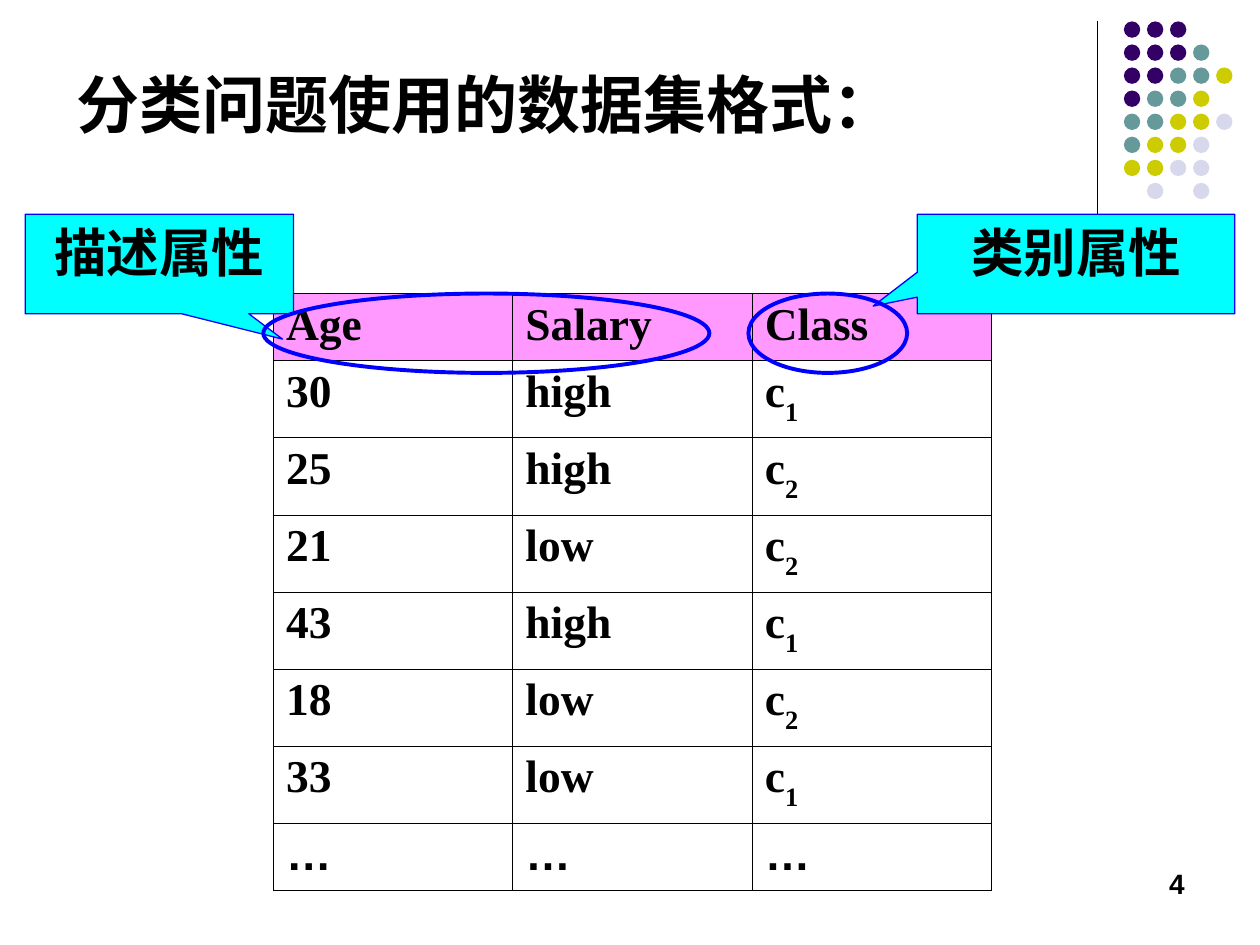
"""Build the slide that shows the data set format for classification."""
from lxml import etree
from pptx import Presentation
from pptx import util as u
from pptx.dml.color import RGBColor
from pptx.enum import shapes, text
from pptx.oxml.ns import qn

COLORS = {"ink": "000000", "outline": "0000FF", "callout": "00FFFF", "header": "FF99FF",
          "P": "330066", "T": "669999", "Y": "CCCC00", "L": "D8D8EC"}
TITLE = "分类问题使用的数据集格式："
PAGE_NUMBER = "4"
RECORDS = [("Age", "Salary", "Class"),
           ("30", "high", "c1"), ("25", "high", "c2"), ("21", "low", "c2"),
           ("43", "high", "c1"), ("18", "low", "c2"), ("33", "low", "c1"),
           ("…", "…", "…")]
CALLOUTS = [("描述属性", (0.2, 1.7, 2.13, 0.79), (0.459, 0.755)),
            ("类别属性", (7.28, 1.7, 2.52, 0.79), (-0.639, 0.423))]
RINGS = [(2.09, 2.33, 3.54, 0.63), (5.94, 2.33, 1.26, 0.63)]
DOTS = ["PPP", "PPPT", "PPTTY", "PTTY", "TTYYL", "TYYL", "YYLL", " L L"]
DOT_LEFT, DOT_TOP, DOT_PITCH, DOT_SIZE = 8.92, 0.17, 0.183, 0.13
COLUMN_WIDTH, EDGE_ROW, BODY_ROW = 1.9, 0.5, 0.58


def rgb(name):
    return RGBColor.from_string(COLORS[name])


def inches(values):
    return [u.Inches(value) for value in values]


def style(run, size, face="Arial"):
    run.font.size, run.font.name, run.font.bold = u.Pt(size), face, True
    run.font.color.rgb = rgb("ink")


def add_figure(slide, preset, box, fill=None, line_width=None):
    figure = slide.shapes.add_shape(preset, *inches(box))
    figure.shadow.inherit = False
    if fill:
        figure.fill.solid()
        figure.fill.fore_color.rgb = rgb(fill)
    else:
        figure.fill.background()
    if line_width:
        figure.line.color.rgb = rgb("outline")
        figure.line.width = u.Pt(line_width)
    else:
        figure.line.fill.background()
    return figure


def write(figure, words, size, align):
    frame = figure.text_frame
    frame.word_wrap = True
    frame.vertical_anchor = text.MSO_ANCHOR.TOP
    frame.text = words
    frame.paragraphs[0].alignment = align
    style(frame.paragraphs[0].runs[0], size)


def add_borders(cell):
    properties = cell._tc.get_or_add_tcPr()
    for position, side in enumerate(("a:lnL", "a:lnR", "a:lnT", "a:lnB")):
        border = etree.Element(qn(side), w=str(u.Pt(0.45)))
        paint = etree.SubElement(border, qn("a:solidFill"))
        etree.SubElement(paint, qn("a:srgbClr"), val=COLORS["ink"])
        properties.insert(position, border)


def fill_cell(cell, words, is_header):
    paragraph = cell.text_frame.paragraphs[0]
    is_class = words[0] == "c"
    for part in (words if is_class else [words]):
        run = paragraph.add_run()
        run.text = part
        style(run, 26, "Arial" if words == "…" else "Times New Roman")
        if is_class and part.isdigit():
            run.font._element.set("baseline", "-30000")
    if is_header:
        cell.fill.solid()
        cell.fill.fore_color.rgb = rgb("header")
    else:
        cell.fill.background()
    add_borders(cell)


def add_records(slide):
    heights = [EDGE_ROW] + [BODY_ROW] * (len(RECORDS) - 2) + [EDGE_ROW]
    columns = len(RECORDS[0])
    box = (2.17, 2.33, COLUMN_WIDTH * columns, sum(heights))
    table = slide.shapes.add_table(len(RECORDS), columns, *inches(box)).table
    table.horz_banding = table.first_row = False
    for column in table.columns:
        column.width = u.Inches(COLUMN_WIDTH)
    for r, (record, height) in enumerate(zip(RECORDS, heights)):
        table.rows[r].height = u.Inches(height)
        for c, words in enumerate(record):
            fill_cell(table.cell(r, c), words, r == 0)


def add_corner(slide):
    rule = slide.shapes.add_connector(shapes.MSO_CONNECTOR.STRAIGHT, *inches((8.71, 0.17, 8.71, 1.83)))
    rule.line.color.rgb = rgb("ink")
    rule.line.width = u.Pt(0.75)
    etree.SubElement(rule._element.spPr, qn("a:effectLst"))
    for r, row in enumerate(DOTS):
        for c, color in enumerate(row):
            if color != " ":
                box = (DOT_LEFT + c * DOT_PITCH, DOT_TOP + r * DOT_PITCH, DOT_SIZE, DOT_SIZE)
                add_figure(slide, shapes.MSO_SHAPE.OVAL, box, color)


def main():
    deck = Presentation()
    deck.slide_width, deck.slide_height = inches((10, 7.5))
    slide = deck.slides.add_slide(deck.slide_layouts[6])
    add_corner(slide)
    number = slide.shapes.add_textbox(*inches((7.17, 6.83, 2.33, 0.5)))
    write(number, PAGE_NUMBER, 16, text.PP_ALIGN.RIGHT)
    add_records(slide)
    for words, box, tip in CALLOUTS:
        callout = add_figure(slide, shapes.MSO_SHAPE.RECTANGULAR_CALLOUT, box, "callout", 0.75)
        callout.adjustments[0], callout.adjustments[1] = tip
        write(callout, words, 30, text.PP_ALIGN.CENTER)
    for box in RINGS:
        add_figure(slide, shapes.MSO_SHAPE.OVAL, box, line_width=2.25)
    title = slide.shapes.add_textbox(*inches((0.51, 0.47, 7.72, 0.7)))
    write(title, TITLE, 36, text.PP_ALIGN.LEFT)
    deck.save("out.pptx")


if __name__ == "__main__":
    main()
